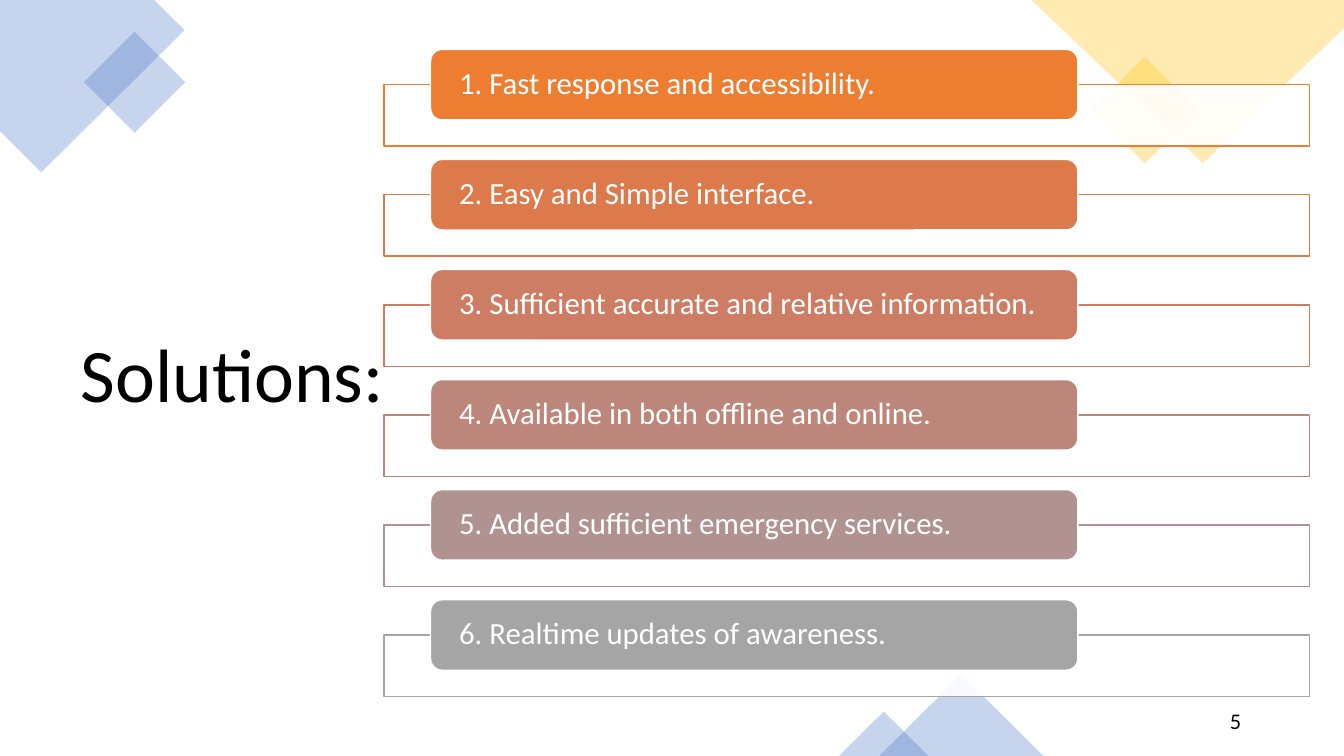
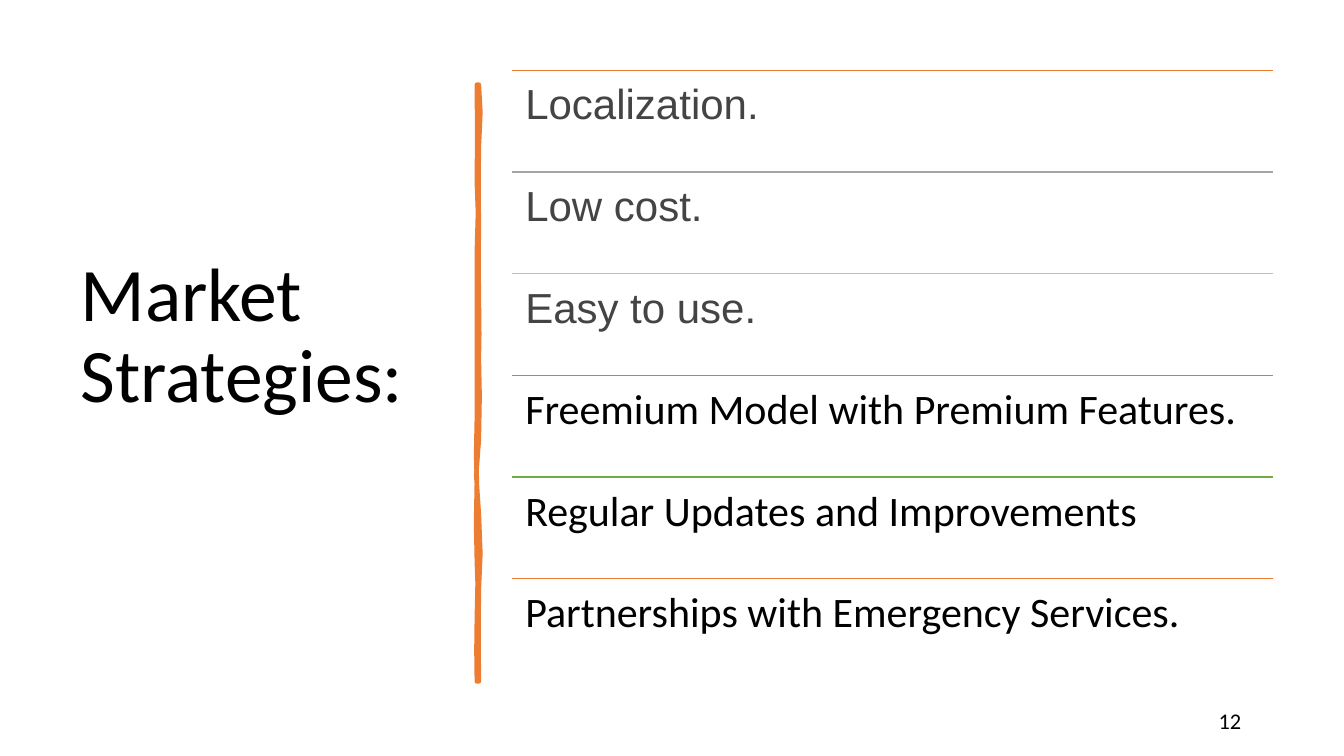
import pptx
import pptx.util
import pptx.dml.color
import pptx.enum.shapes
import pptx.enum.text
import pptx.oxml.ns
import lxml.etree

Inches = pptx.util.Inches
Pt = pptx.util.Pt
SHAPE = pptx.enum.shapes.MSO_SHAPE
ALIGN = pptx.enum.text.PP_ALIGN
ANCHOR = pptx.enum.text.MSO_ANCHOR

BLACK, WHITE, GRAY = "000000", "FFFFFF", "444444"
BLUE, GOLD, ORANGE, SILVER = "4472C4", "FFC000", "ED7D31", "A5A5A5"

SOLUTIONS = [
    ("1. Fast response and accessibility.", ORANGE),
    ("2. Easy and Simple interface.", "DC7A4B"),
    ("3. Sufficient accurate and relative information.", "CC7D64"),
    ("4. Available in both offline and online.", "BD867B"),
    ("5. Added sufficient emergency services.", "B09391"),
    ("6. Realtime updates of awareness.", SILVER),
]
STRATEGIES = [
    ("Localization.", ORANGE, "Arial", GRAY),
    ("Low cost.", SILVER, "Arial", GRAY),
    ("Easy to use.", GOLD, "Arial", GRAY),
    ("Freemium Model with Premium Features.", "5B9BD5", "Calibri", BLACK),
    ("Regular Updates and Improvements", "70AD47", "Calibri", BLACK),
    ("Partnerships with Emergency Services.", ORANGE, "Calibri", BLACK),
]

LEFT_CORNER = [(1.53, 0), (0, 0), (0, 1.3), (0.41, 1.71), (1.83, 0.3)]
RIGHT_CORNER = [(13.33, 0), (10.23, 0), (11.93, 1.62), (13.33, 0.28)]
DECORATIONS = [
    (SHAPE.RECTANGLE, (0.98, 0.46, 0.71, 0.71), 315, BLUE),
    (SHAPE.RECTANGLE, (10.98, 0.72, 0.75, 0.75), 315, GOLD),
    (SHAPE.ISOSCELES_TRIANGLE, (8.72, 6.69, 1.63, 0.81), 0, BLUE),
    (SHAPE.ISOSCELES_TRIANGLE, (8.32, 7.06, 0.89, 0.44), 0, BLUE),
]

STROKE_START = (4.75, 0.84)
STROKE_CURVES = [
    (4.77, 1.02, 4.77, 1.19, 4.75, 1.46), (4.73, 1.73, 4.76, 1.95, 4.75, 2.26),
    (4.74, 2.57, 4.75, 2.62, 4.75, 2.94), (4.74, 3.25, 4.77, 3.42, 4.75, 3.56),
    (4.73, 3.7, 4.79, 4.14, 4.75, 4.36), (4.71, 4.57, 4.72, 4.84, 4.75, 5.1),
    (4.77, 5.36, 4.77, 5.64, 4.75, 5.84), (4.73, 6.03, 4.76, 6.5, 4.75, 6.76),
    (4.74, 6.76, 4.73, 6.76, 4.73, 6.76), (4.74, 6.46, 4.71, 6.44, 4.73, 6.13),
    (4.74, 5.83, 4.74, 5.7, 4.73, 5.57), (4.72, 5.44, 4.72, 4.95, 4.73, 4.77),
    (4.73, 4.59, 4.71, 4.45, 4.73, 4.15), (4.74, 3.86, 4.72, 3.73, 4.73, 3.35),
    (4.74, 2.98, 4.72, 2.81, 4.73, 2.5), (4.74, 2.18, 4.75, 2, 4.73, 1.81),
    (4.7, 1.63, 4.77, 1.04, 4.73, 0.84),
]


def rgb(value):
    return pptx.dml.color.RGBColor.from_string(value)


def box(*values):
    return [Inches(value) for value in values]


def paint(shape, fill, opacity=100, line=None, width=1):
    shape.shadow.inherit = False
    shape.fill.solid()
    shape.fill.fore_color.rgb = rgb(fill)
    if opacity < 100:
        solid = shape._element.spPr.find(pptx.oxml.ns.qn("a:solidFill"))
        lxml.etree.SubElement(solid[0], pptx.oxml.ns.qn("a:alpha"), val=str(opacity * 1000))
    if line:
        shape.line.color.rgb = rgb(line)
        shape.line.width = Pt(width)
    else:
        shape.line.fill.background()


def write(shape, text, size, color=BLACK, font="Calibri", align=ALIGN.LEFT,
          anchor=ANCHOR.MIDDLE, insets=(0.1, 0.05), spacing=0.9):
    frame = shape.text_frame
    frame.word_wrap = True
    frame.vertical_anchor = anchor
    frame.margin_left = frame.margin_right = Inches(insets[0])
    frame.margin_top = frame.margin_bottom = Inches(insets[1])
    frame.text = text
    for paragraph in frame.paragraphs:
        paragraph.alignment = align
        paragraph.line_spacing = spacing
        for run in paragraph.runs:
            run.font.size = Pt(size)
            run.font.name = font
            run.font.color.rgb = rgb(color)


def add_polygon(slide, points):
    corners = [tuple(box(*point)) for point in points]
    builder = slide.shapes.build_freeform(*corners[0])
    builder.add_line_segments(corners[1:], close=True)
    return builder.convert_to_shape()


def trace_curves(start, curves):
    points = [start]
    for x1, y1, x2, y2, x3, y3 in curves:
        x0, y0 = points[-1]
        middle = ((x0 + 3 * x1 + 3 * x2 + x3) / 8, (y0 + 3 * y1 + 3 * y2 + y3) / 8)
        points += [middle, (x3, y3)]
    return points


def add_title(slide, title, height):
    heading = slide.shapes.add_textbox(*box(0.7, 0.7, 3.74, height))
    write(heading, title, 54)


def add_page_number(slide, number):
    page_number = slide.shapes.add_textbox(*box(9.41, 6.95, 3, 0.4))
    write(page_number, number, 16, align=ALIGN.RIGHT, spacing=1.0)


def build_solutions(slide):
    for points, color in ((LEFT_CORNER, BLUE), (RIGHT_CORNER, GOLD)):
        paint(add_polygon(slide, points), color, 30)
    for kind, place, rotation, color in DECORATIONS:
        decoration = slide.shapes.add_shape(kind, *box(*place))
        decoration.rotation = rotation
        paint(decoration, color, 30)
    add_title(slide, "Solutions:", 6.09)
    pitch = 5.46 / (len(SOLUTIONS) - 1)
    for index, (solution, color) in enumerate(SOLUTIONS):
        top = 0.49 + index * pitch
        band = slide.shapes.add_shape(SHAPE.RECTANGLE, *box(3.81, top + 0.35, 9.18, 0.61))
        paint(band, WHITE, 90, color)
        label = slide.shapes.add_shape(SHAPE.ROUNDED_RECTANGLE, *box(4.27, top, 6.42, 0.7))
        paint(label, color, line=WHITE)
        write(label, solution, 22, WHITE, insets=(0.25, 0))
    add_page_number(slide, "5")


def build_strategies(slide):
    add_title(slide, "Market\nStrategies:", 5.3)
    stroke = add_polygon(slide, trace_curves(STROKE_START, STROKE_CURVES))
    paint(stroke, ORANGE, line=ORANGE, width=3.25)
    left, width = 5.08, 7.55
    pitch = 5.04 / (len(STRATEGIES) - 1)
    for index, (strategy, rule_color, font, color) in enumerate(STRATEGIES):
        top = 0.7 + index * pitch
        rule = slide.shapes.add_connector(
            pptx.enum.shapes.MSO_CONNECTOR.STRAIGHT, *box(left, top, left + width, top))
        rule.line.color.rgb = rgb(rule_color)
        rule.line.width = Pt(1)
        lxml.etree.SubElement(rule._element.spPr, pptx.oxml.ns.qn("a:effectLst"))
        entry = slide.shapes.add_textbox(*box(left, top, width, pitch))
        write(entry, strategy, 30, color, font, anchor=ANCHOR.TOP, insets=(0.13, 0.13))
    add_page_number(slide, "12")


def main():
    deck = pptx.Presentation()
    deck.slide_width, deck.slide_height = Inches(13.33), Inches(7.5)
    for build in (build_solutions, build_strategies):
        build(deck.slides.add_slide(deck.slide_layouts[6]))
    deck.save("out.pptx")


if __name__ == "__main__":
    main()
